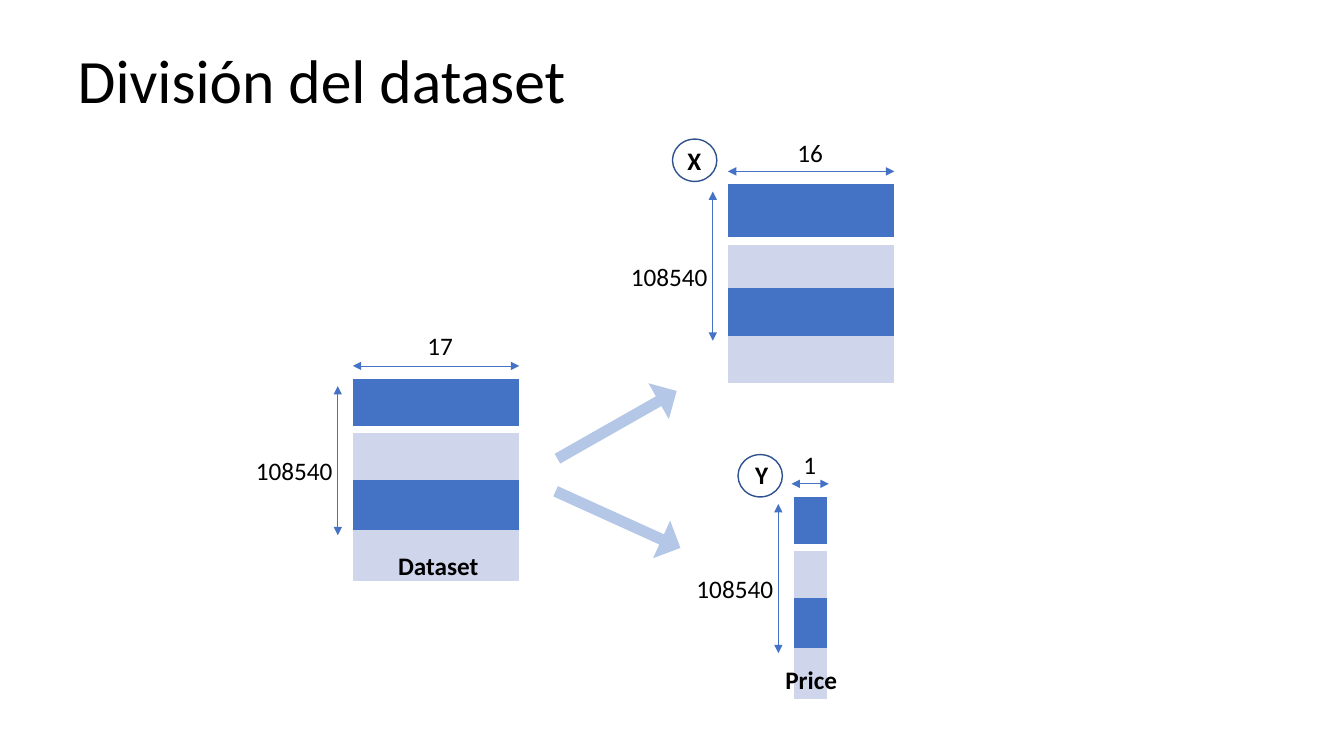
"""Build the slide that shows a dataset divided into X and Y."""
from dataclasses import dataclass
from typing import Any

from lxml import etree
from pptx import Presentation
from pptx import util as u
from pptx.dml.color import RGBColor
from pptx.enum import shapes, text
from pptx.oxml.ns import qn

PX = 9144
NO_GRID_STYLE = "{2D5ABB26-0587-4C30-8999-92F81FD0307C}"


@dataclass(frozen=True)
class Theme:
    """Colours, font and type sizes."""
    font: str = "Calibri"
    title: int = 44
    label: int = 18
    ink: str = "000000"
    white: str = "FFFFFF"
    blue: str = "4472C4"
    pale: str = "CFD5EA"
    arrow: str = "B4C7E7"
    ring: str = "2F528F"


@dataclass(frozen=True)
class Label:
    """A text box, in px."""
    wording: str
    left: int
    top: int
    width: int
    height: int = 40
    bold: bool = False


@dataclass(frozen=True)
class Matrix:
    """A striped table with its column and row counts."""
    left: int
    top: int
    columns: int
    rows: tuple[int, ...]
    overhang: int
    column_label: Label


@dataclass(frozen=True)
class BlockArrow:
    """A rotated block arrow, in px and degrees."""
    left: int
    top: int
    rotation: float


THEME = Theme()
COLUMN_WIDTH = 33
ARROW_SIZE = (136, 41)
RING_SIZE = (44, 42)
EVEN_ROWS = (50, 50, 50, 50)
MATRICES = (
    Matrix(722, 183, 5, (56, 47, 47, 47), 0, Label("16", 781, 131, 69)),
    Matrix(787, 493, 1, EVEN_ROWS, 2, Label("1", 787, 441, 39)),
    Matrix(350, 376, 5, EVEN_ROWS, 0, Label("17", 414, 323, 46)),
)
ARROWS = (BlockArrow(545, 495, 24.4), BlockArrow(544, 401, 330.4))
RINGS = ((667, 138), (732, 451))
NAMES = (
    Label("X", 672, 139, 44, 42, True),
    Label("Y", 739, 451, 36, 42, True),
    Label("Dataset", 385, 541, 104, 42, True),
    Label("Price", 769, 654, 104, 42, True),
)


def px(*lengths: int) -> list[u.Emu]:
    """Turn px into EMU."""
    return [u.Emu(length * PX) for length in lengths]


def write(frame: Any, wording: str, *, size: int, bold: bool = False, spacing: float = 1.0) -> None:
    """Write one left-aligned paragraph into a text frame."""
    frame.word_wrap = True
    para = frame.paragraphs[0]
    para.alignment = text.PP_ALIGN.LEFT
    para.line_spacing = spacing
    span = para.add_run()
    span.text = wording
    span.font.name = THEME.font
    span.font.size = u.Pt(size)
    span.font.bold = bold
    span.font.color.rgb = RGBColor.from_string(THEME.ink)


def add_label(page: Any, label: Label) -> None:
    """Add a text box."""
    box = page.shapes.add_textbox(*px(label.left, label.top, label.width, label.height))
    write(box.text_frame, label.wording, size=THEME.label, bold=label.bold)
    box.text_frame.auto_size = text.MSO_AUTO_SIZE.SHAPE_TO_FIT_TEXT


def add_dimension(page: Any, left: int, top: int, right: int, bottom: int) -> None:
    """Add a thin line with an arrowhead at both ends."""
    line = page.shapes.add_connector(shapes.MSO_CONNECTOR.STRAIGHT, *px(left, top, right, bottom))
    line.line.color.rgb = RGBColor.from_string(THEME.blue)
    line.line.width = u.Pt(0.5)
    stroke = line.line._get_or_add_ln()
    for end in ("a:headEnd", "a:tailEnd"):
        etree.SubElement(stroke, qn(end), type="triangle")
    etree.SubElement(line._element.spPr, qn("a:effectLst"))


def underline_cell(cell: Any) -> None:
    """Give a cell a thick white bottom border."""
    border = etree.Element(qn("a:lnB"), w=str(u.Pt(6)))
    fill = etree.SubElement(border, qn("a:solidFill"))
    etree.SubElement(fill, qn("a:srgbClr"), val=THEME.white)
    cell._tc.get_or_add_tcPr().insert(0, border)


def add_matrix(page: Any, matrix: Matrix) -> None:
    """Add a striped table with its dimension lines and counts."""
    left, top = matrix.left, matrix.top
    width = matrix.columns * COLUMN_WIDTH
    frame = page.shapes.add_table(
        len(matrix.rows), matrix.columns, *px(left, top, width, sum(matrix.rows)))
    table = frame.table
    table._tbl.tblPr.find(qn("a:tableStyleId")).text = NO_GRID_STYLE
    table.first_row = table.horz_banding = False
    for column in table.columns:
        column.width = u.Emu(COLUMN_WIDTH * PX)
    for index, height in enumerate(matrix.rows):
        table.rows[index].height = u.Emu(height * PX)
        for cell in table.rows[index].cells:
            cell.fill.solid()
            cell.fill.fore_color.rgb = RGBColor.from_string(
                THEME.pale if index % 2 else THEME.blue)
            if index == 0:
                underline_cell(cell)
    add_dimension(page, left - 15, top + 7, left - 15, top + 155)
    add_dimension(page, left - matrix.overhang, top - 13, left + width + matrix.overhang, top - 13)
    add_label(page, Label("108540", left - 106, top + 71, 103))
    add_label(page, matrix.column_label)


def add_arrow(page: Any, arrow: BlockArrow) -> None:
    """Add a pale block arrow."""
    shape = page.shapes.add_shape(
        shapes.MSO_SHAPE.RIGHT_ARROW, *px(arrow.left, arrow.top, *ARROW_SIZE))
    shape.adjustments[0] = 0.27
    shape.adjustments[1] = 0.5
    shape.rotation = arrow.rotation
    shape.shadow.inherit = False
    shape.fill.solid()
    shape.fill.fore_color.rgb = RGBColor.from_string(THEME.arrow)
    shape.line.fill.background()


def add_ring(page: Any, left: int, top: int) -> None:
    """Add an unfilled ring."""
    ring = page.shapes.add_shape(shapes.MSO_SHAPE.OVAL, *px(left, top, *RING_SIZE))
    ring.shadow.inherit = False
    ring.fill.background()
    ring.line.color.rgb = RGBColor.from_string(THEME.ring)
    ring.line.width = u.Pt(1)


def main() -> None:
    """Build and save the deck."""
    deck = Presentation()
    deck.slide_width, deck.slide_height = px(1333, 750)
    page = deck.slides.add_slide(deck.slide_layouts[5])
    title = page.shapes.title
    title.left, title.top, title.width, title.height = px(67, 10, 1150, 145)
    title.text_frame.vertical_anchor = text.MSO_ANCHOR.MIDDLE
    title.text_frame.auto_size = text.MSO_AUTO_SIZE.NONE
    write(title.text_frame, "División del dataset", size=THEME.title, spacing=0.9)
    for matrix in MATRICES:
        add_matrix(page, matrix)
    for arrow in ARROWS:
        add_arrow(page, arrow)
    for left, top in RINGS:
        add_ring(page, left, top)
    for name in NAMES:
        add_label(page, name)
    deck.save("out.pptx")


if __name__ == "__main__":
    main()
